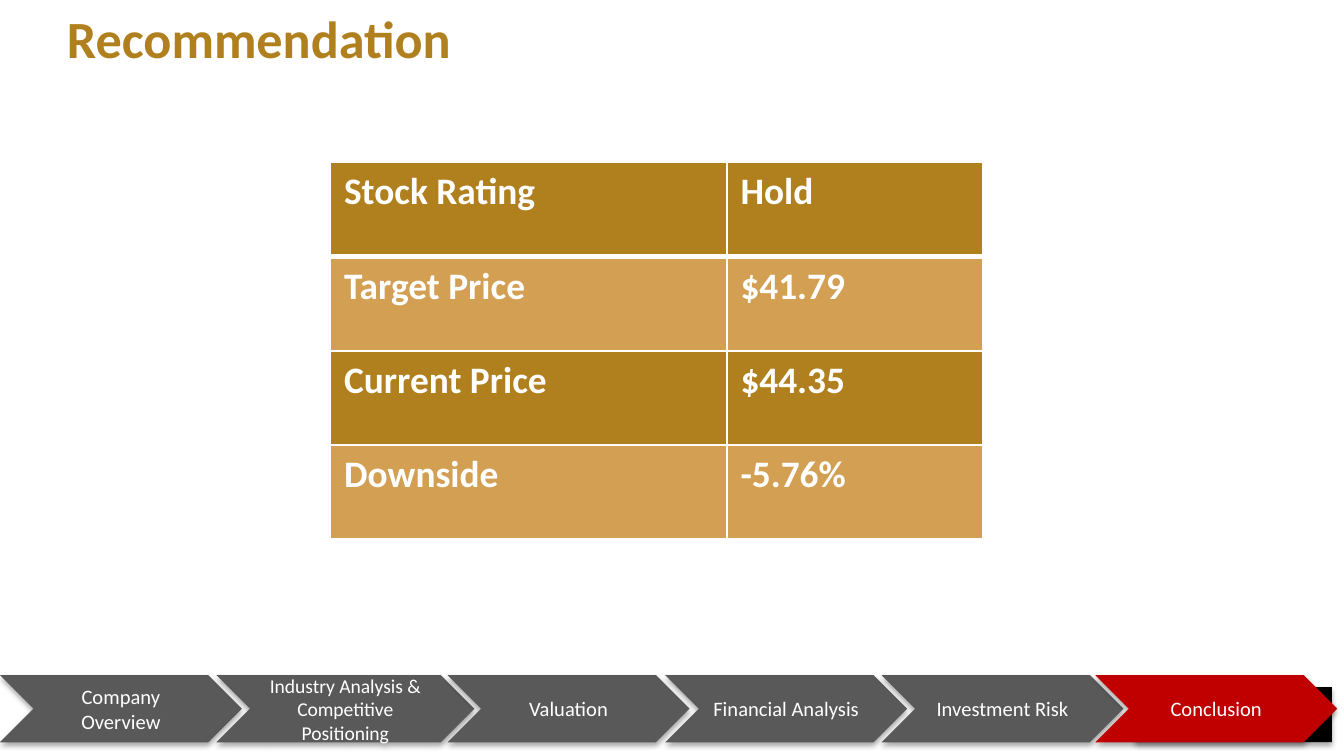
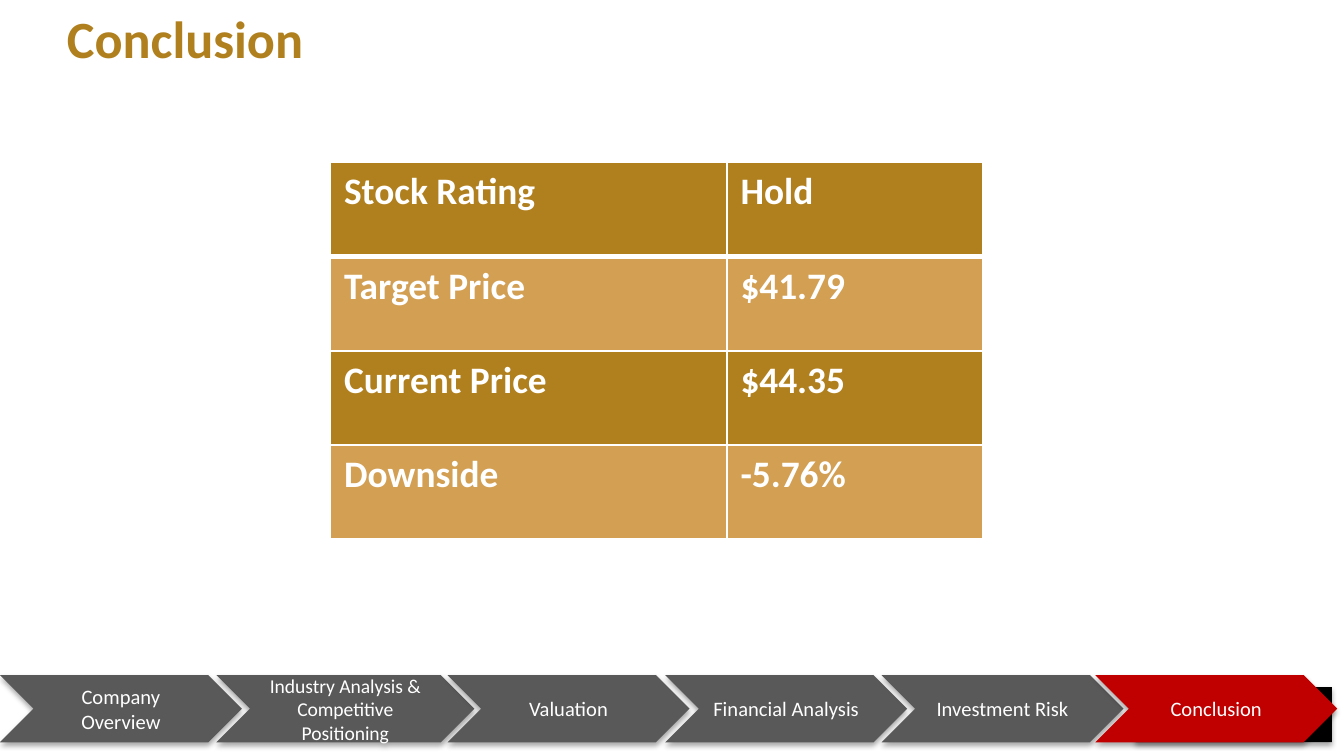
import pptx
import pptx.util
import pptx.dml.color
import pptx.enum.shapes
import pptx.enum.text
import pptx.oxml
import pptx.oxml.ns
from lxml import etree

Pt = pptx.util.Pt
RGBColor = pptx.dml.color.RGBColor
SHAPE = pptx.enum.shapes.MSO_SHAPE
ALIGN = pptx.enum.text.PP_ALIGN
ANCHOR = pptx.enum.text.MSO_ANCHOR
qn = pptx.oxml.ns.qn

GOLD = RGBColor(0xB1, 0x80, 0x1E)
SAND = RGBColor(0xD2, 0x9F, 0x53)
GREY = RGBColor(0x59, 0x59, 0x59)
RED = RGBColor(0xC0, 0x00, 0x00)
BLACK = RGBColor(0x00, 0x00, 0x00)
WHITE = RGBColor(0xFF, 0xFF, 0xFF)
FONT = "Calibri"

SLIDE_W, SLIDE_H = 720, 405
TITLE_BOX = (28.8, 0, 390.2, 41)
TABLE_BOX = (177.1, 87.1, 349.2, 201.6)
NAV_BOX = (0, 361.7, 716.4, 36)

# Section label, left offset, width, text size
SECTIONS = [
    ("Company Overview", 0, 129.6, 11),
    ("Industry Analysis & Competitive Positioning", 115.9, 138.2, 10.5),
    ("Valuation", 239.8, 129.6, 11),
    ("Financial Analysis", 356.4, 129.6, 11),
    ("Investment Risk", 472.3, 129.6, 11),
    ("Conclusion", 586.8, 129.6, 11),
]
RATING = [
    ("Stock Rating", "Hold"),
    ("Target Price", "$41.79"),
    ("Current Price", "$44.35"),
    ("Downside", "-5.76%"),
]


def write(tf, text, size, color=WHITE, bold=False, align=ALIGN.LEFT):
    p = tf.paragraphs[0]
    p.alignment = align
    r = p.add_run()
    r.text = text
    r.font.name = FONT
    r.font.size = Pt(size)
    r.font.bold = bold
    r.font.color.rgb = color


def add_shadow(sp):
    sp.shadow.inherit = False
    effects = sp.element.spPr.find(qn("a:effectLst"))
    shadow = etree.SubElement(
        effects, qn("a:outerShdw"), blurRad=str(Pt(3.1)), dist=str(Pt(1.8)),
        dir="5400000", rotWithShape="0")
    color = etree.SubElement(shadow, qn("a:srgbClr"), val=str(BLACK))
    etree.SubElement(color, qn("a:alpha"), val="35000")


def add_block(slide, kind, box, fill):
    sp = slide.shapes.add_shape(kind, *map(Pt, box))
    sp.fill.solid()
    sp.fill.fore_color.rgb = fill
    sp.line.fill.background()
    add_shadow(sp)
    return sp


def add_nav(slide, box, current):
    """Chevron strip with the current section in red."""
    left, top, width, height = box
    for label, offset, w, size in SECTIONS:
        if label == current:
            add_block(slide, SHAPE.RECTANGLE,
                      (left + offset + 21.6, top + 6.4, 105.1, height - 6.4), BLACK)
        sp = add_block(slide, SHAPE.CHEVRON, (left + offset, top, w, height),
                       RED if label == current else GREY)
        tf = sp.text_frame
        tf.word_wrap = True
        tf.vertical_anchor = ANCHOR.MIDDLE
        write(tf, label, size, align=ALIGN.CENTER)


def add_title(slide, box, text):
    tf = slide.shapes.add_textbox(*map(Pt, box)).text_frame
    tf.word_wrap = True
    tf.auto_size = pptx.enum.text.MSO_AUTO_SIZE.SHAPE_TO_FIT_TEXT
    write(tf, text, 28, GOLD, bold=True)


def set_borders(cell, **widths):
    tcPr = cell._tc.get_or_add_tcPr()
    for i, side in enumerate("LRTB"):
        ln = etree.Element(qn("a:ln" + side), w=str(Pt(widths.get(side, 1))))
        fill = etree.SubElement(ln, qn("a:solidFill"))
        etree.SubElement(fill, qn("a:srgbClr"), val=str(WHITE))
        tcPr.insert(i, ln)


def add_rating_table(slide, box):
    left, top, width, height = box
    table = slide.shapes.add_table(len(RATING), 2, *map(Pt, box)).table
    table.columns[0].width = Pt(212.4)
    table.columns[1].width = Pt(width - 212.4)
    for i, values in enumerate(RATING):
        table.rows[i].height = Pt(height / len(RATING))
        for j, value in enumerate(values):
            cell = table.cell(i, j)
            cell.fill.solid()
            cell.fill.fore_color.rgb = SAND if i % 2 else GOLD
            set_borders(cell, T=3 if i == 1 else 1, B=3 if i == 0 else 1)
            write(cell.text_frame, value, 20, bold=True)


def add_rating_slide(prs, title):
    slide = prs.slides.add_slide(prs.slide_layouts[6])
    add_nav(slide, NAV_BOX, "Conclusion")
    add_title(slide, TITLE_BOX, title)
    add_rating_table(slide, TABLE_BOX)


def main():
    prs = pptx.Presentation()
    prs.slide_width, prs.slide_height = Pt(SLIDE_W), Pt(SLIDE_H)
    for title in ("Recommendation", "Conclusion"):
        add_rating_slide(prs, title)
    prs.save("out.pptx")


if __name__ == "__main__":
    main()
